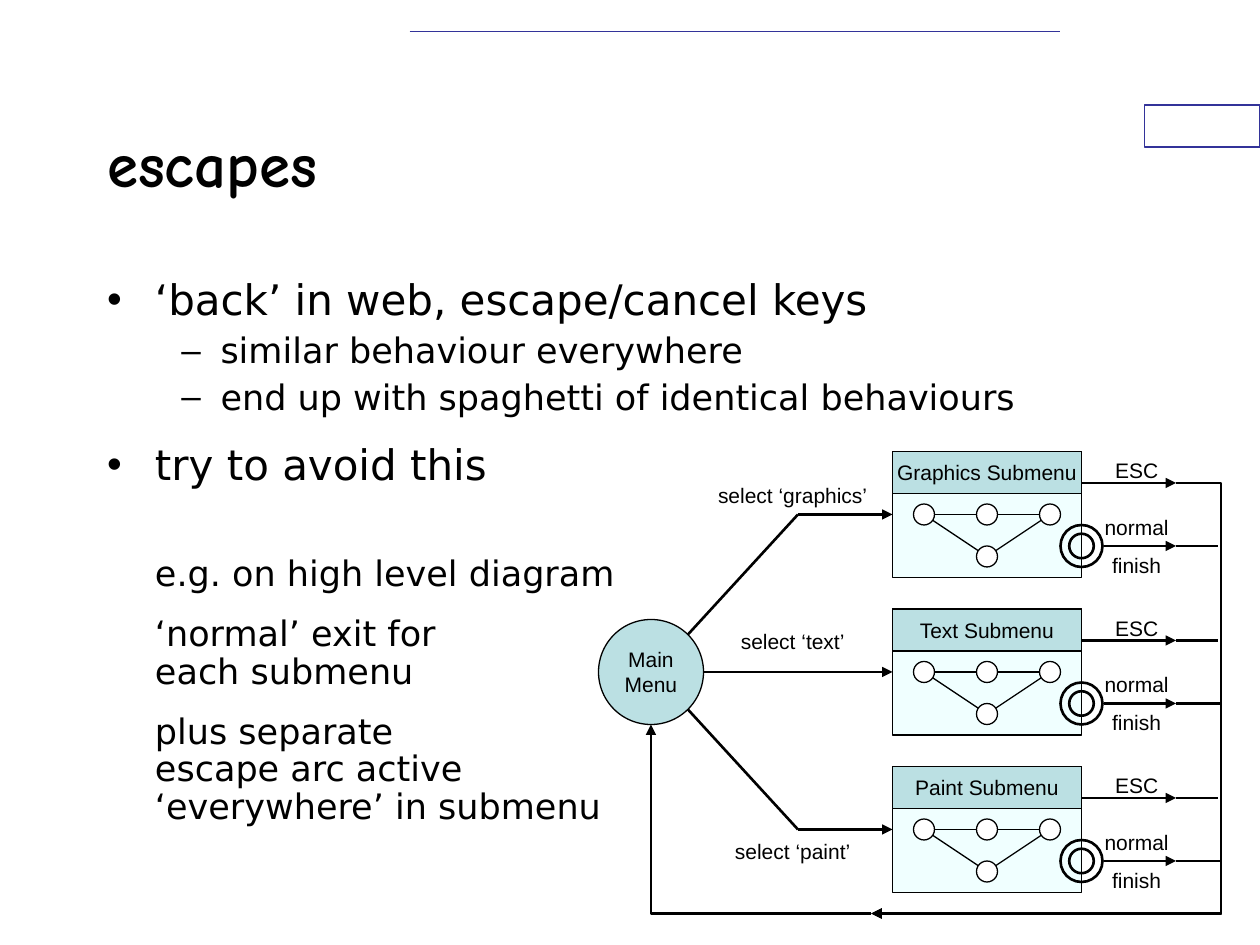
from dataclasses import dataclass
from lxml.etree import SubElement as Sub
from pptx import Presentation
from pptx.dml.color import RGBColor
from pptx.enum.shapes import MSO_CONNECTOR as Conn, MSO_SHAPE as Kind
from pptx.enum.text import MSO_ANCHOR as Anchor, MSO_AUTO_SIZE as Fit, PP_ALIGN as Align
from pptx.oxml.ns import qn
from pptx.util import Inches, Pt


@dataclass(frozen=True)
class Theme:
    ink: str = "000000"
    paper: str = "FFFFFF"
    rule: str = "333399"
    head: str = "BBE0E3"
    panel: str = "F0FFFF"
    title: str = "Comic Neue"
    body: str = "DejaVu Sans"
    label: str = "Arial"
    big: int = 36
    main: int = 24
    sub: int = 20
    small: int = 12
    thin: float = 0.75
    mid: float = 1.1
    thick: float = 1.5


T = Theme()
COLS, ROWS = 120, 90  # grid cells of 1/12 inch
RAIL, BASE = 116.3, 87  # column and row of the return path
JOIN = 83  # column where the return arcs meet

prs = Presentation()
prs.slide_width, prs.slide_height = Inches(10), Inches(7.5)
slide = prs.slides.add_slide(prs.slide_layouts[1])


def col(n):
    return round(prs.slide_width * n / COLS)


def row(n):
    return round(prs.slide_height * n / ROWS)


def rgb(code):
    return RGBColor.from_string(code)


# Text
def write(para, text, size=T.small, font=T.label, bold=False, align=Align.CENTER,
          space=None, before=0, left=0, hang=0, mark=None):
    para.text = text
    para.alignment = align
    para.line_spacing, para.space_before = space, Pt(before)
    para.font.size, para.font.name, para.font.bold = Pt(size), font, bold
    para.font.color.rgb = rgb(T.ink)
    props = para._p.get_or_add_pPr()
    props.set("marL", str(Inches(left)))
    props.set("indent", str(Inches(-hang)))
    if mark:
        Sub(props, qn("a:buChar")).set("char", mark)
    else:
        Sub(props, qn("a:buNone"))


def label(text, mid, top, wide):
    box = slide.shapes.add_textbox(col(mid - wide / 2), row(top), col(wide), row(3.6))
    box.text_frame.word_wrap = False
    box.text_frame.auto_size = Fit.SHAPE_TO_FIT_TEXT
    write(box.text_frame.paragraphs[0], text)


# Shapes and lines
def shape(kind, x, y, w, h, fill=None, line=T.ink, width=T.thin, text=None):
    item = slide.shapes.add_shape(kind, col(x), row(y), col(w), row(h))
    item.shadow.inherit = False
    if fill:
        item.fill.solid()
        item.fill.fore_color.rgb = rgb(fill)
    else:
        item.fill.background()
    item.line.color.rgb, item.line.width = rgb(line), Pt(width)
    if text:
        frame = item.text_frame
        frame.word_wrap, frame.vertical_anchor = False, Anchor.MIDDLE
        write(frame.paragraphs[0], text)
    return item


def link(x1, y1, x2, y2, width=T.thick, color=T.ink, arrow=False, kind=Conn.STRAIGHT):
    item = slide.shapes.add_connector(kind, col(x1), row(y1), col(x2), row(y2))
    item.line.color.rgb, item.line.width = rgb(color), Pt(width)
    if arrow:
        Sub(item.line._get_or_add_ln(), qn("a:tailEnd")).set("type", "triangle")
    Sub(item._element.spPr, qn("a:effectLst"))
    return item._element.spPr.find(qn("a:prstGeom"))


def bend(x, y):
    """Arc that runs out to the rail, down and back to the join."""
    geom = link(x, y, JOIN, BASE, arrow=True, kind=Conn.ELBOW)
    guide = Sub(geom.get_or_add_avLst(), qn("a:gd"))
    guide.set("name", "adj1")
    guide.set("fmla", f"val {round((x - RAIL) / (x - JOIN) * 100000)}")


# Regions
def frame():
    shape(Kind.RECTANGLE, 109, 10, 11, 4, T.paper, T.rule)
    link(39, 3, 101, 3, width=T.mid, color=T.rule)


def place(holder, x, y, w, h, anchor):
    holder.left, holder.top, holder.width, holder.height = col(x), row(y), col(w), row(h)
    area = holder.text_frame
    area.auto_size, area.word_wrap, area.vertical_anchor = Fit.NONE, True, anchor
    return area


def title(text, *box):
    area = place(slide.shapes.title, *box, Anchor.MIDDLE)
    write(area.paragraphs[0], text, size=T.big, font=T.title, bold=True, align=Align.LEFT)


def points(items, *box):
    looks = {
        "point": dict(size=T.main, before=15, left=0.38, hang=0.38, mark="•"),
        "dash": dict(size=T.sub, before=5, left=0.9, hang=0.31, mark="–"),
        "gap": dict(size=T.sub, before=38.5, left=0.38),
        "note": dict(size=T.sub, before=12.5, left=0.38),
    }
    area = place(slide.placeholders[1], *box, Anchor.TOP)
    for i, (look, text) in enumerate(items):
        para = area.add_paragraph() if i else area.paragraphs[0]
        para.level = int(look == "dash")
        write(para, text, font=T.body, align=Align.LEFT, space=0.9, **looks[look])


def submenu(name, x, y, bent, w=18, h=12):
    """One submenu box with its state net and two exits."""
    shape(Kind.RECTANGLE, x, y, w, h, T.panel)
    shape(Kind.RECTANGLE, x, y, w, h / 3, T.head, text=name)
    # State net
    nodes = [(x + w * a / 6, y + h * b / 6) for a, b in ((1, 3), (3, 3), (5, 3), (3, 5))]
    for a, b in ((0, 3), (2, 3), (2, 0)):
        link(*nodes[a], *nodes[b], width=T.thin)
    for cx, cy in nodes:
        shape(Kind.OVAL, cx - 1, cy - 1, 2, 2, T.paper)
    # Exits
    edge, turn = x + w, x + w + 9
    for way, start, at in (("esc", edge, y + h / 4), ("end", edge + 2.1, y + h * 3 / 4)):
        link(start, at, turn, at, arrow=True)
        if way == bent:
            bend(turn, at)
        else:
            link(turn, at, turn + 4, at)
    ring = shape(Kind.DONUT, edge - 2, y + h * 3 / 4 - 2, 4, 4, width=T.thick)
    ring.adjustments[0] = 0.208
    for text, top, wide in (("ESC", 0, 6.8), ("normal", 5.4, 8.8), ("finish", 9, 7.4)):
        label(text, edge + 5.25, y + top, wide)


def diagram(x, y):
    """Main menu, three submenus and the way back."""
    menus = [("Graphics Submenu", "esc"), ("Text Submenu", "end"), ("Paint Submenu", "end")]
    for i, (name, bent) in enumerate(menus):
        submenu(name, x + 28, y + 15 * i, bent)
    shape(Kind.OVAL, x, y + 16, 10, 10, T.head, text="Main\vMenu")
    # Ways in
    link(x + 10, y + 21, x + 28, y + 21, arrow=True)
    for side in (-1, 1):
        end = y + 21 + 15 * side
        link(x + 8.5, y + 21 + 3.55 * side, x + 19, end)
        link(x + 19, end, x + 28, end, arrow=True)
    for text, top, wide in (("graphics", 2.4, 17), ("text", 16.3, 12.8), ("paint", 36.3, 13.8)):
        label(f"select ‘{text}’", x + 18.5, y + top, wide)
    # Way back
    link(JOIN, BASE, x + 5, y + 26, arrow=True, kind=Conn.ELBOW).set("prst", "bentConnector2")


frame()
title("escapes", 9, 8, 90, 15)
points([
    ("point", "‘back’ in web, escape/cancel keys"),
    ("dash", "similar behaviour everywhere"),
    ("dash", "end up with spaghetti of identical behaviours"),
    ("point", "try to avoid this"),
    ("gap", "e.g. on high level diagram"),
    ("note", "‘normal’ exit for\veach submenu"),
    ("note", "plus separate\vescape arc active\v‘everywhere’ in submenu"),
], 9, 26, 102, 54)
diagram(57, 43)
prs.save("out.pptx")
